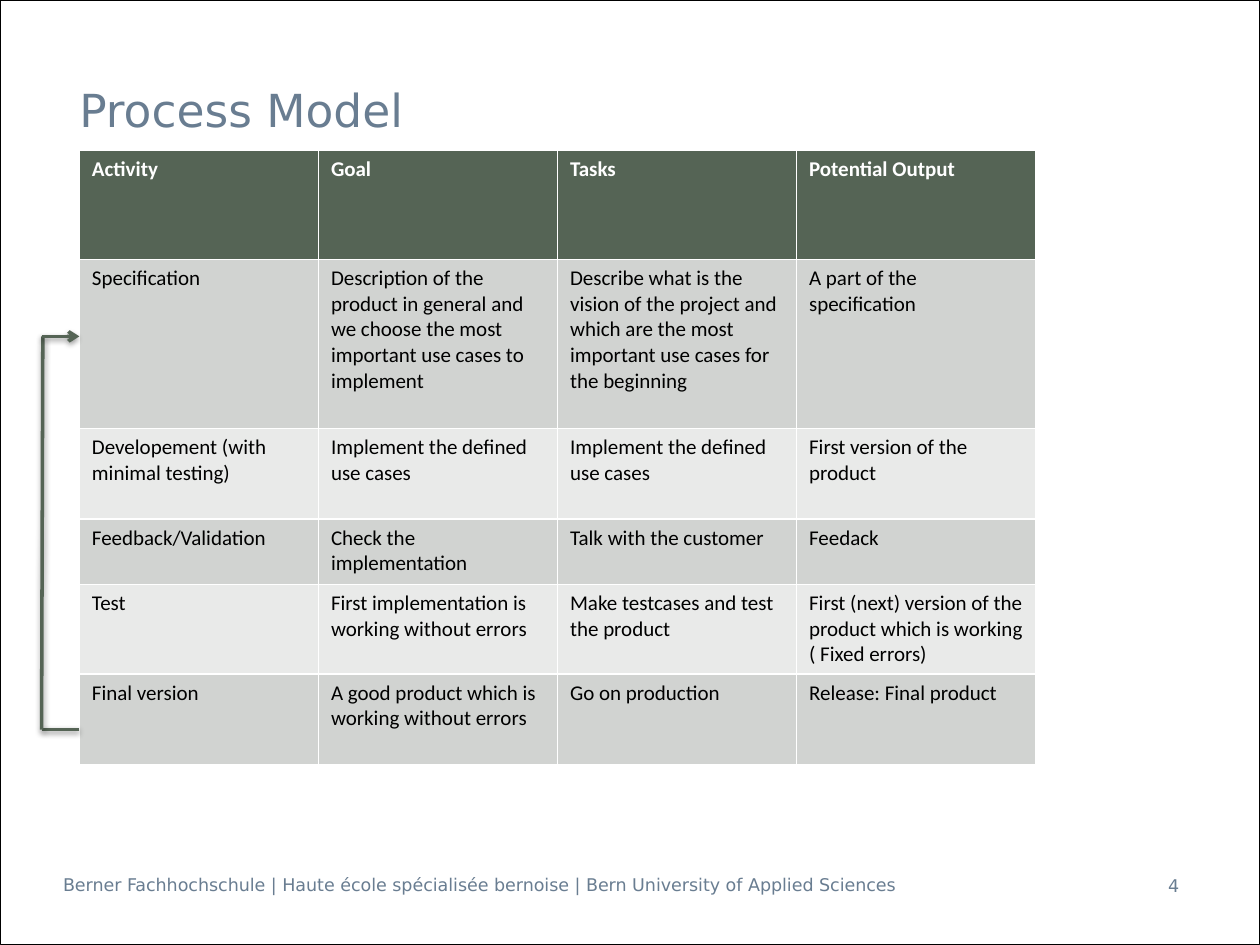
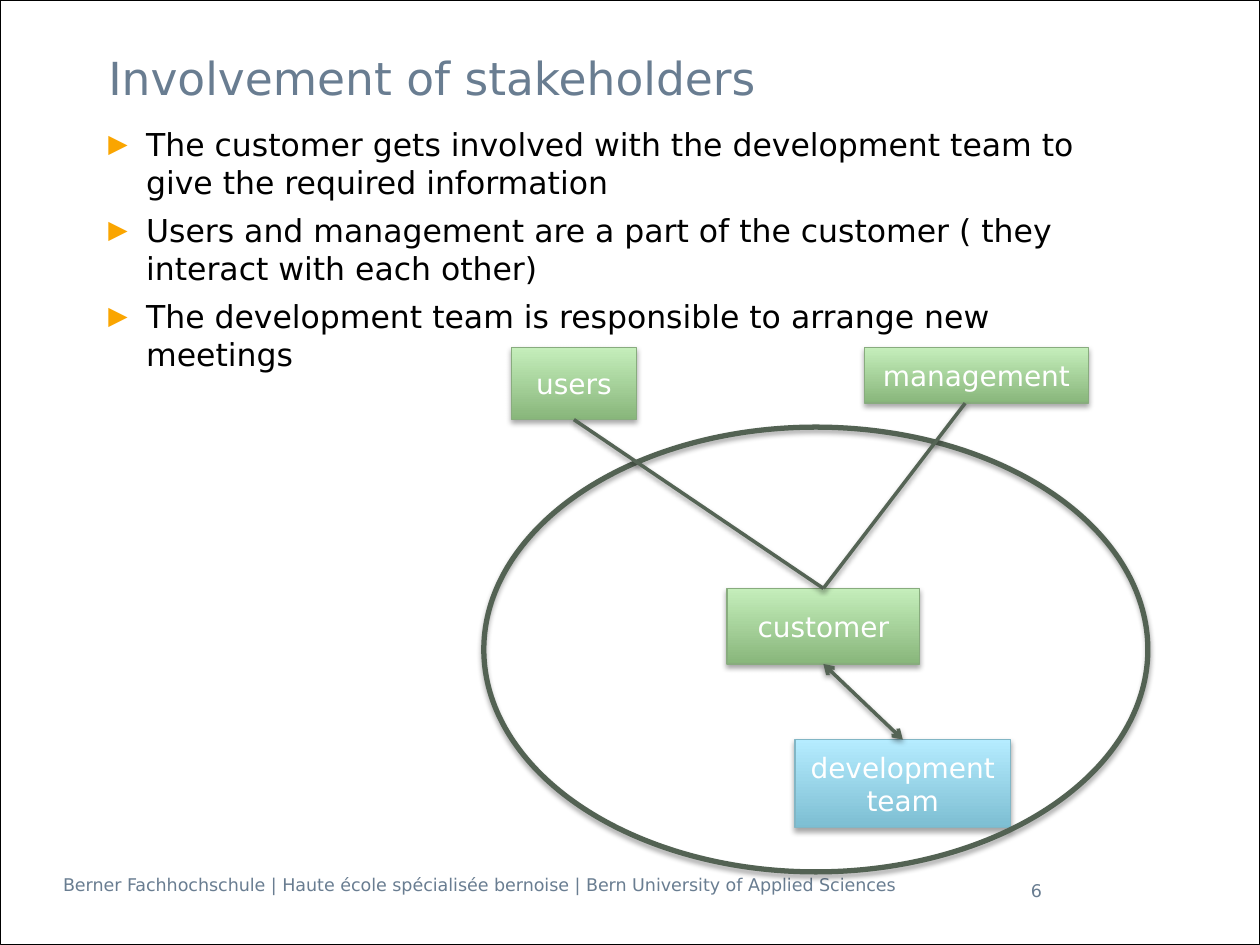
from lxml import etree
from pptx import Presentation
from pptx.dml.color import RGBColor
from pptx.enum import shapes, text
from pptx.oxml import ns
from pptx.util import Inches, Pt

# Shared look
SLATE = RGBColor(0x69, 0x7D, 0x91)
BLACK = RGBColor(0, 0, 0)
WHITE = RGBColor(255, 255, 255)
MOSS = RGBColor(0x55, 0x64, 0x55)
RING = RGBColor(0x53, 0x62, 0x53)
BANDS = RGBColor(0xE9, 0xEA, 0xE9), RGBColor(0xD1, 0xD3, 0xD1)
# Box colours: bottom, top, outline
GREEN = RGBColor(0x88, 0xB6, 0x7B), RGBColor(0xC5, 0xEE, 0xBB), RGBColor(0x88, 0xAC, 0x7E)
BLUE = RGBColor(0x7D, 0xBE, 0xD2), RGBColor(0xB5, 0xEC, 0xFF), RGBColor(0x82, 0xB6, 0xC5)
BULLET_COLOUR = "FAA500"
FONT, TABLE_FONT = "DejaVu Sans", "Calibri"
TOP, MIDDLE = text.MSO_ANCHOR.TOP, text.MSO_ANCHOR.MIDDLE
LEFT, CENTER, RIGHT = text.PP_ALIGN.LEFT, text.PP_ALIGN.CENTER, text.PP_ALIGN.RIGHT

# Content
FOOTER = "Berner Fachhochschule | Haute école spécialisée bernoise | Bern University of Applied Sciences"
ACTIVITIES = [
    ("Activity", "Goal", "Tasks", "Potential Output"),
    ("Specification",
     "Description of the product in general and we choose the most important use cases to implement",
     "Describe what is the vision of the project and which are the most important use cases for the beginning",
     "A part of the specification"),
    ("Developement (with minimal testing)", "Implement the defined use cases",
     "Implement the defined use cases", "First version of the product"),
    ("Feedback/Validation", "Check the implementation", "Talk with the customer", "Feedack"),
    ("Test", "First implementation is working without errors",
     "Make testcases and test the product",
     "First (next) version of the product which is working ( Fixed errors)"),
    ("Final version", "A good product which is working without errors",
     "Go on production", "Release: Final product"),
]
ROW_HEIGHTS = [0.87, 1.34, 0.72, 0.52, 0.71, 0.72]
POINTS = [
    "The customer gets involved with the development team to give the required information",
    "Users and management are a part of the customer ( they interact with each other)",
    "The development team is responsible to arrange new meetings",
]
STAKEHOLDERS = {
    "customer": ((5.77, 4.67, 1.53, 0.6), GREEN),
    "users": ((4.06, 2.76, 0.99, 0.57), GREEN),
    "management": ((6.86, 2.76, 1.78, 0.44), GREEN),
    "development team": ((6.31, 5.87, 1.71, 0.7), BLUE),
}


def inches(values):
    return [Inches(value) for value in values]


def add_xml(parent, tag, **attributes):
    return etree.SubElement(parent, ns.qn("a:" + tag), attributes)


def style(para, size, colour, align=LEFT, font=FONT, bold=False):
    para.alignment = align
    para.font.size, para.font.name = Pt(size), font
    para.font.color.rgb, para.font.bold = colour, bold


def set_frame(shape, place, anchor=TOP, left_inset=0):
    shape.left, shape.top, shape.width, shape.height = inches(place)
    frame = shape.text_frame
    frame.word_wrap, frame.auto_size = True, text.MSO_AUTO_SIZE.NONE
    frame.vertical_anchor = anchor
    frame.margin_left, frame.margin_right = Inches(left_inset), 0
    frame.margin_top = frame.margin_bottom = Inches(0.05)
    return frame


def add_label(page, words, place, align=LEFT, **frame_options):
    box = page.shapes.add_textbox(*inches(place))
    para = set_frame(box, place, **frame_options).paragraphs[0]
    para.text = words
    style(para, 10, SLATE, align)


def add_shadow(shape, opacity, distance):
    properties = shape._element.spPr
    effects = properties.find(ns.qn("a:effectLst"))
    if effects is None:
        effects = add_xml(properties, "effectLst")
    shadow = add_xml(effects, "outerShdw", blurRad="40000", dist=str(distance),
                     dir="5400000", rotWithShape="0")
    add_xml(add_xml(shadow, "srgbClr", val="000000"), "alpha", val=str(opacity * 1000))


def add_line(page, start, end, heads=()):
    line = page.shapes.add_connector(shapes.MSO_CONNECTOR.STRAIGHT, *inches(start + end))
    line.line.color.rgb, line.line.width = MOSS, Pt(2)
    for head in heads:
        add_xml(line.line._get_or_add_ln(), head, type="arrow")
    add_shadow(line, 38, 20000)
    return line


def add_outline(page, kind, place, colour, width):
    shape = page.shapes.add_shape(kind, *inches(place))
    shape.fill.background()
    shape.line.color.rgb, shape.line.width = colour, Pt(width)
    shape.shadow.inherit = False
    return shape


def add_page(layout, title, title_place, number, number_place):
    page = deck.slides.add_slide(deck.slide_layouts[layout])
    add_outline(page, shapes.MSO_SHAPE.RECTANGLE, (0, 0, 10, 7.5), BLACK, 0.5)
    add_label(page, FOOTER, (0.5, 6.89, 7.31, 0.27))
    para = set_frame(page.shapes.title, title_place).paragraphs[0]
    para.text = title
    style(para, 26, SLATE)
    add_label(page, number, number_place, RIGHT, anchor=MIDDLE, left_inset=0.1)
    return page


def add_bullet(para, words):
    para.text = words
    para.space_before, para.space_after = 0, Pt(6)
    properties = para._p.get_or_add_pPr()
    properties.set("marL", str(Inches(0.3)))
    properties.set("indent", str(Inches(-0.3)))
    add_xml(add_xml(properties, "buClr"), "srgbClr", val=BULLET_COLOUR)
    add_xml(properties, "buSzPct", val="80000")
    add_xml(properties, "buFont", typeface=FONT)
    add_xml(properties, "buChar", char="▶")
    style(para, 18, BLACK)


def add_box(page, words, place, colours):
    bottom, top, outline = colours
    box = add_outline(page, shapes.MSO_SHAPE.RECTANGLE, place, outline, 0.75)
    box.fill.gradient()
    box.fill.gradient_angle = 90
    for stop, colour, position in zip(box.fill.gradient_stops, (bottom, top), (0, 1)):
        stop.color.rgb, stop.position = colour, position
    add_shadow(box, 35, 23000)
    box.text_frame.vertical_anchor = MIDDLE
    para = box.text_frame.paragraphs[0]
    para.text = words
    style(para, 16, WHITE, CENTER)
    return box


deck = Presentation()
deck.slide_width, deck.slide_height = Inches(10), Inches(7.5)

# Process table
page = add_page(5, "Process Model", (0.63, 0.6, 8.99, 0.59), "4", (7.4, 6.83, 1.96, 0.4))
table = page.shapes.add_table(len(ACTIVITIES), len(ACTIVITIES[0]),
                              *inches((0.63, 1.19, 7.59, sum(ROW_HEIGHTS)))).table
for row, (height, words) in enumerate(zip(ROW_HEIGHTS, ACTIVITIES)):
    table.rows[row].height = Inches(height)
    for column, entry in enumerate(words):
        cell = table.cell(row, column)
        cell.fill.solid()
        cell.fill.fore_color.rgb = BANDS[row % 2] if row else MOSS
        para = cell.text_frame.paragraphs[0]
        para.text = entry
        style(para, 12, BLACK if row else WHITE, font=TABLE_FONT, bold=row == 0)

# Loop from the final version back to the specification
edge, loop, upper, lower = 0.63, 0.33, 2.67, 5.79
add_line(page, (edge, lower), (loop, lower))
add_line(page, (loop + 0.01, upper), (loop, lower))
add_line(page, (loop, upper), (edge, upper), ["tailEnd"])

# Stakeholder list
page = add_page(1, "Involvement of stakeholders", (0.86, 0.35, 7.67, 0.59),
                "6", (6.31, 6.87, 1.96, 0.4))
frame = set_frame(page.placeholders[1], (0.86, 0.94, 7.8, 2.1))
for index, point in enumerate(POINTS):
    add_bullet(frame.add_paragraph() if index else frame.paragraphs[0], point)

# Stakeholder diagram; connection sites: 0 is the top, 2 the bottom
boxes = {name: add_box(page, name, *rest) for name, rest in STAKEHOLDERS.items()}
ring = add_outline(page, shapes.MSO_SHAPE.OVAL, (3.84, 3.39, 5.27, 3.53), RING, 3)
add_shadow(ring, 35, 23000)

customer_top = (6.53, 4.67)
users_link = add_line(page, (4.56, 3.33), customer_top)
users_link.begin_connect(boxes["users"], 2)
users_link.end_connect(boxes["customer"], 0)
add_line(page, (7.66, 3.2), customer_top).end_connect(boxes["customer"], 0)
team_link = add_line(page, (6.53, 5.27), (7.16, 5.87), ["headEnd", "tailEnd"])
team_link.begin_connect(boxes["customer"], 2)
team_link.end_connect(boxes["development team"], 0)

deck.save("out.pptx")
